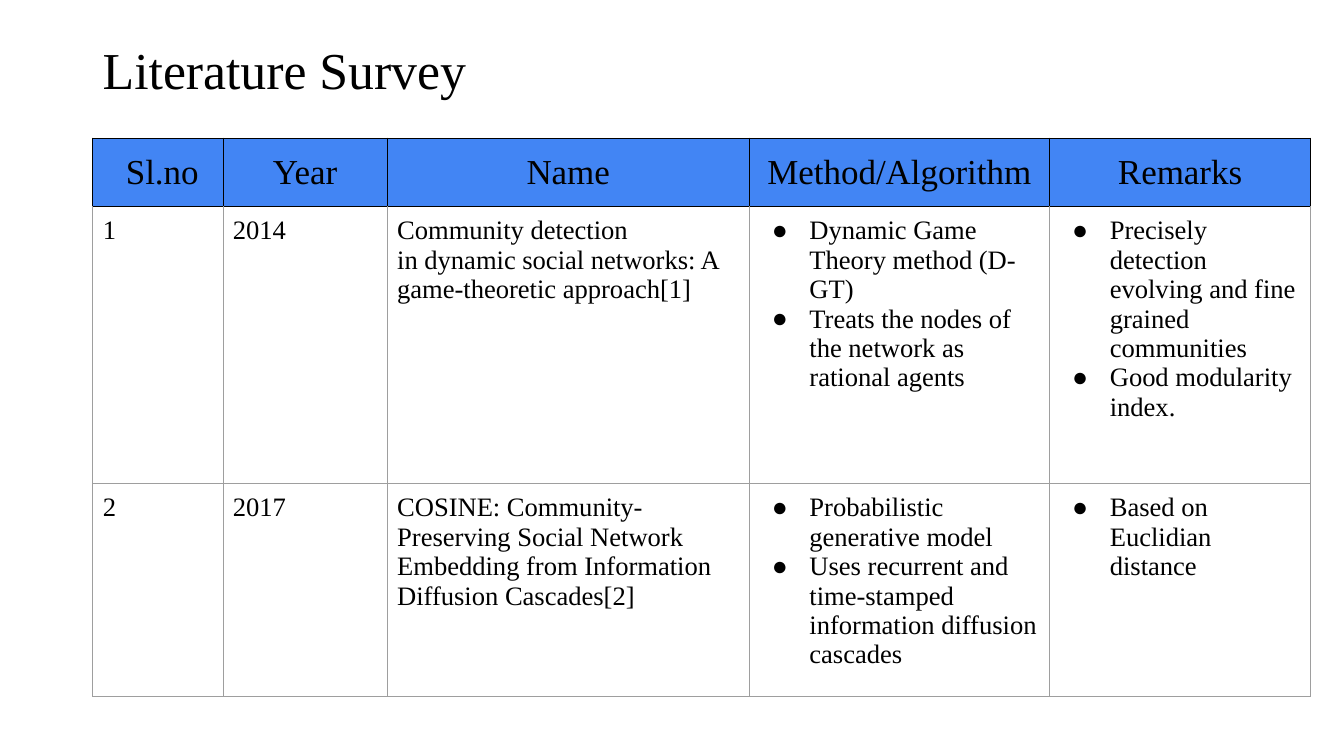
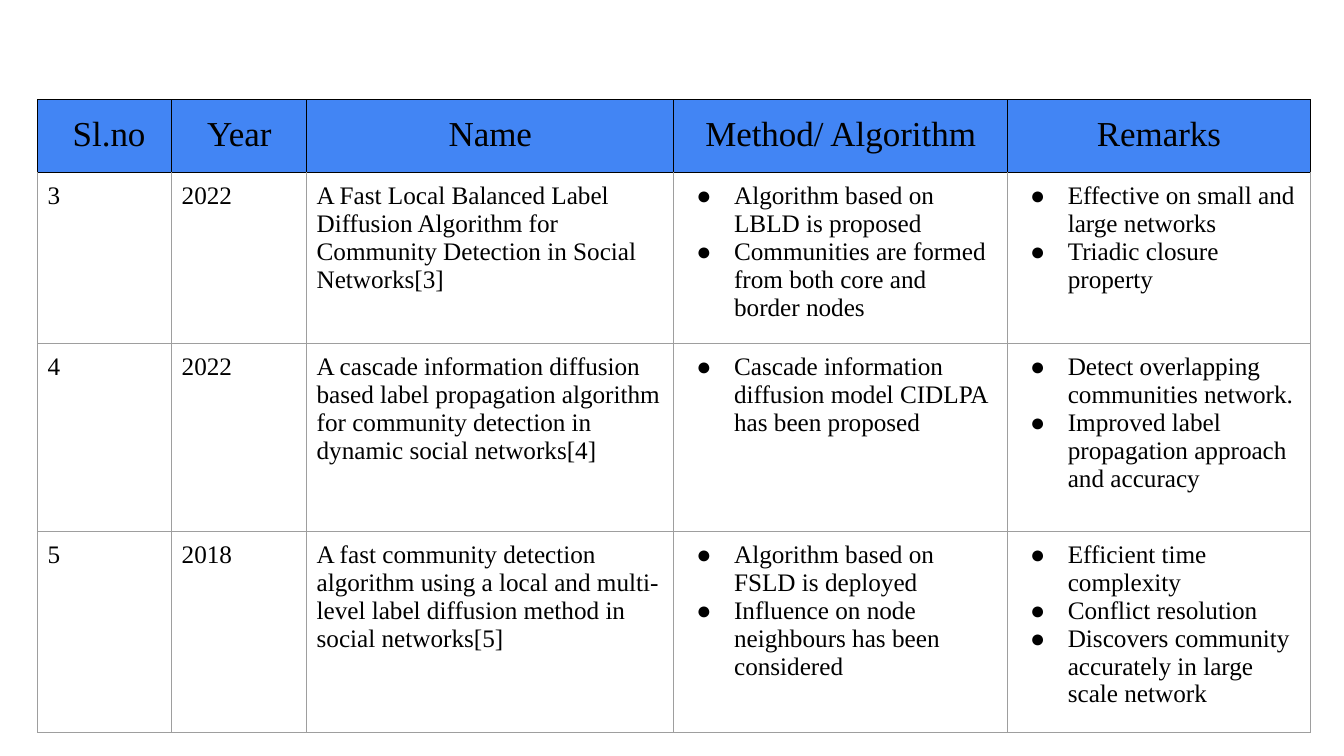
from lxml import etree
from pptx import Presentation
from pptx import util as u
from pptx.dml.color import RGBColor
from pptx.enum import text
from pptx.oxml import ns

FONT = "Times New Roman"
BLACK, GREY, BLUE, WHITE = "000000", "9E9E9E", "4285F4", "FFFFFF"
MARGIN = u.Cm(0.25)


def rgb(value):
    return RGBColor.from_string(value)


def write(frame, lines, size, align=None, spacing=None, bullet=False):
    for i, line in enumerate(lines):
        paragraph = frame.paragraphs[0] if i == 0 else frame.add_paragraph()
        paragraph.alignment = align
        paragraph.line_spacing = spacing
        run = paragraph.add_run()
        run.text = line
        run.font.size = u.Pt(size)
        run.font.name = FONT
        run.font.color.rgb = rgb(BLACK)
        if bullet:
            props = paragraph._p.get_or_add_pPr()
            props.set("marL", str(u.Cm(1.27)))
            props.set("indent", str(-u.Cm(0.95)))
            tint = etree.SubElement(props, ns.qn("a:buClr"))
            etree.SubElement(tint, ns.qn("a:srgbClr"), val=BLACK)
            etree.SubElement(props, ns.qn("a:buFont"), typeface=FONT)
            etree.SubElement(props, ns.qn("a:buChar"), char="●")


surveys = [
    {
        "title": "Literature Survey",
        "left": 2.34, "top": 3.48, "size": 19,
        "columns": [3.28, 4.14, 9.12, 7.57, 6.58],
        "heights": [1.64, 6.98, 5.38],
        "method": "Method/Algorithm",
        "papers": [
            (["1"], ["2014"],
             ["Community detection",
              "in dynamic social networks: A game-theoretic approach[1]"],
             ["Dynamic Game Theory method (D-GT)",
              "Treats the nodes of the network as rational agents"],
             ["Precisely detection evolving and fine grained communities",
              "Good modularity index."]),
            (["2"], ["2017"],
             ["COSINE: Community-Preserving Social Network Embedding "
              "from Information Diffusion Cascades[2]"],
             ["Probabilistic generative model",
              "Uses recurrent and time-stamped information diffusion cascades"],
             ["Based on Euclidian distance"]),
        ],
    },
    {
        "title": None,
        "left": 0.95, "top": 2.51, "size": 18,
        "columns": [3.38, 3.4, 9.25, 8.41, 7.63],
        "heights": [1.83, 4.03, 4.73, 4.73],
        "method": "Method/ Algorithm",
        "papers": [
            (["3"], ["2022"],
             ["A Fast Local Balanced Label Diffusion Algorithm for "
              "Community Detection in Social Networks[3]"],
             ["Algorithm based on LBLD is proposed",
              "Communities are formed from both core and border nodes"],
             ["Effective on small and large networks",
              "Triadic closure property"]),
            (["4"], ["2022"],
             ["A cascade information diffusion based label propagation algorithm "
              "for community detection in dynamic social networks[4]"],
             ["Cascade information diffusion model CIDLPA has been proposed"],
             ["Detect overlapping communities network.",
              "Improved label propagation approach and accuracy"]),
            (["5"], ["2018"],
             ["A fast community detection algorithm using a local and "
              "multi-level label diffusion method in social networks[5]"],
             ["Algorithm based on FSLD is deployed",
              "Influence on node neighbours has been considered"],
             ["Efficient time complexity",
              "Conflict resolution",
              "Discovers community accurately in large scale network"]),
        ],
    },
]

deck = Presentation()
deck.slide_width, deck.slide_height = u.Cm(33.87), u.Cm(19.05)

for survey in surveys:
    slide = deck.slides.add_slide(deck.slide_layouts[6])
    slide.background.fill.solid()
    slide.background.fill.fore_color.rgb = rgb(WHITE)

    if survey["title"]:
        heading = slide.shapes.add_textbox(u.Cm(2.34), 0, u.Cm(29.21), u.Cm(3.68)).text_frame
        heading.word_wrap = True
        heading.vertical_anchor = text.MSO_ANCHOR.MIDDLE
        write(heading, [survey["title"]], 37, spacing=0.9)

    header = [[label] for label in (" Sl.no", "Year", "Name", survey["method"], "Remarks")]
    rows = [header] + survey["papers"]
    columns, heights = survey["columns"], survey["heights"]
    grid = slide.shapes.add_table(
        len(rows), len(columns), u.Cm(survey["left"]), u.Cm(survey["top"]),
        u.Cm(sum(columns)), u.Cm(sum(heights))).table
    grid.first_row = grid.horz_banding = False
    for column, width in zip(grid.columns, columns):
        column.width = u.Cm(width)

    for r, entries in enumerate(rows):
        grid.rows[r].height = u.Cm(heights[r])
        for c, lines in enumerate(entries):
            cell = grid.cell(r, c)
            cell.margin_left = cell.margin_right = MARGIN
            cell.margin_top = cell.margin_bottom = MARGIN
            for side in "LRTB":
                dark = r == 0 or (r == 1 and side == "T")
                border = etree.SubElement(cell._tc.get_or_add_tcPr(),
                                          ns.qn("a:ln" + side), w=str(u.Pt(0.75)))
                paint = etree.SubElement(border, ns.qn("a:solidFill"))
                etree.SubElement(paint, ns.qn("a:srgbClr"), val=BLACK if dark else GREY)
            if r == 0:
                cell.fill.solid()
                cell.fill.fore_color.rgb = rgb(BLUE)
                write(cell.text_frame, lines, 25, align=text.PP_ALIGN.CENTER, spacing=1.15)
            else:
                cell.fill.background()
                write(cell.text_frame, lines, survey["size"], bullet=c > 2)

deck.save("out.pptx")
